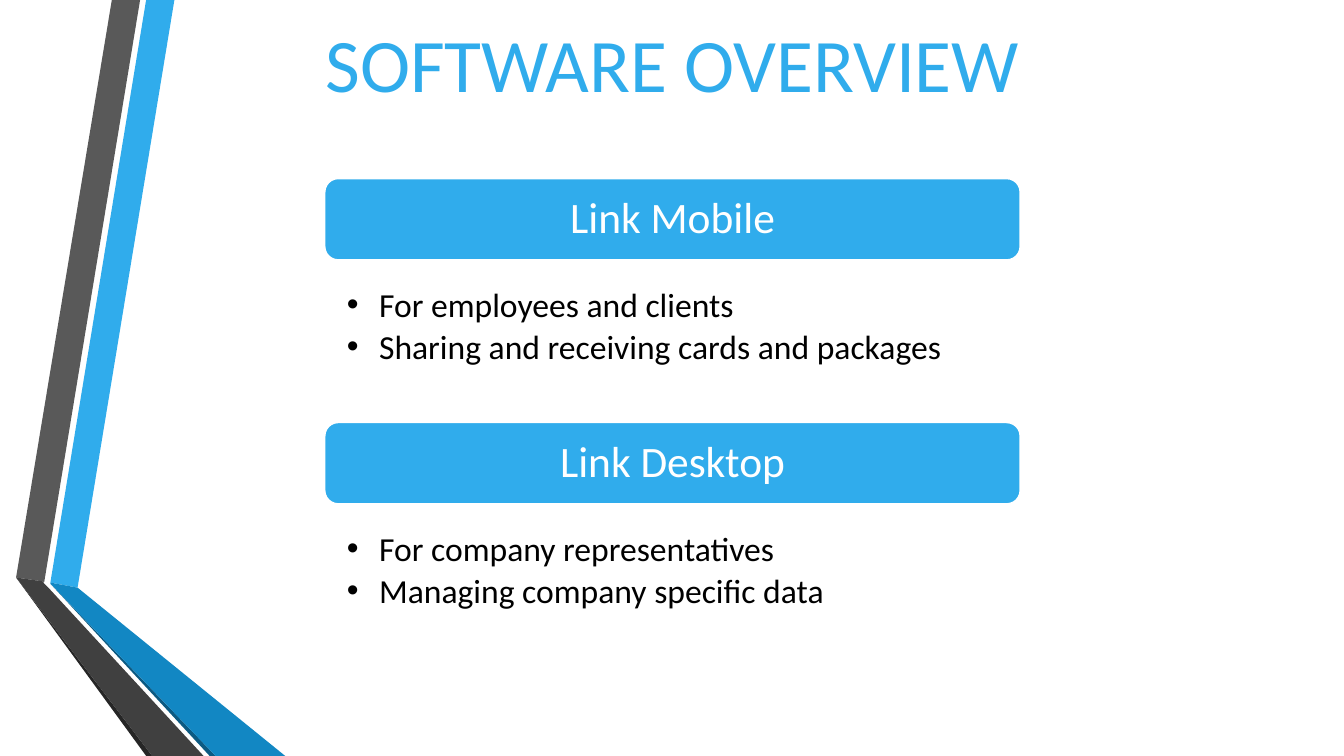
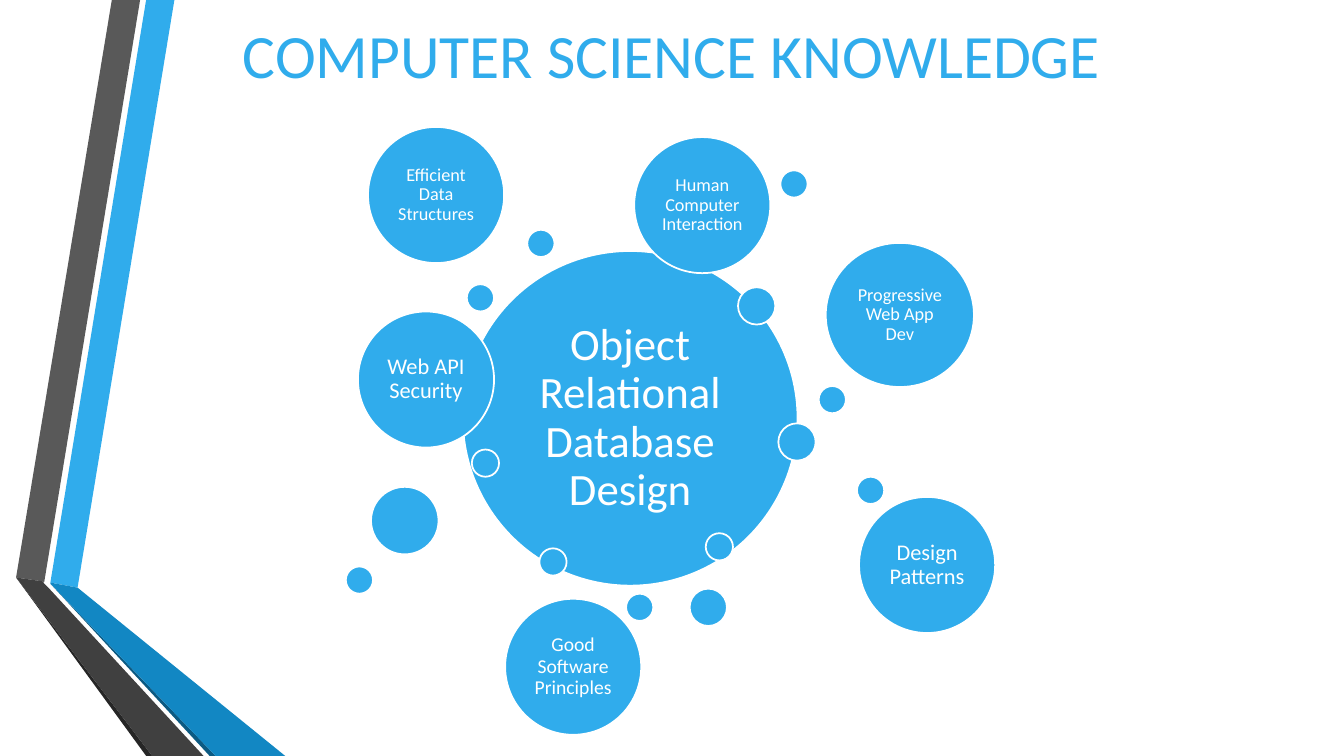
from lxml import etree
from pptx import Presentation
from pptx.dml.color import RGBColor
from pptx.enum.shapes import MSO_SHAPE as SHAPE
from pptx.enum.text import MSO_ANCHOR as ANCHOR, PP_ALIGN as ALIGN
from pptx.oxml.ns import qn
from pptx.util import Inches, Pt

FONT = "Calibri"
BLUE, WHITE, BLACK = "30ACEC", "FFFFFF", "000000"

# Ribbon facets: colour and corner points in inches
RIBBONS = [
    (BLUE, [(0.5, 5.78), (0.77, 5.83), (1.73, 0), (1.45, 0)]),
    ("595959", [(1.39, 0), (1.11, 0), (0.16, 5.73), (0.44, 5.77)]),
    ("262626", [(0.16, 5.73), (1.45, 7.5), (1.51, 7.5)]),
    ("0C5A82", [(0.5, 5.79), (2.08, 7.5), (2.14, 7.5)]),
    ("1287C3", [(0.5, 5.78), (0.5, 5.79), (2.14, 7.5), (2.83, 7.5), (0.77, 5.83)]),
    ("404040", [(2.02, 7.5), (0.48, 5.83), (0.43, 5.78), (0.44, 5.77),
                (0.16, 5.73), (1.51, 7.5)]),
]

SECTIONS = [
    ("Link Mobile", ["For employees and clients",
                     "Sharing and receiving cards and packages"]),
    ("Link Desktop", ["For company representatives",
                      "Managing company specific data"]),
]
SECTION_X, SECTION_Y, SECTION_W, SECTION_STEP = 3.22, 1.77, 6.9, 2.42
HEADER_H, LIST_H = 0.81, 1.16

DOT, BEAD, BALL, TOPIC = 0.27, 0.37, 0.67, 1.35

# Back to front: left, top, width, height, then text, size and inset if labelled
BUBBLES = [
    (4.59, 2.49, 3.32, 3.32, "Object Relational Database Design", 32, 0.13),
    (5.35, 5.44, DOT, DOT),
    (8.12, 3.83, DOT, DOT),
    (6.84, 5.84, BEAD, BEAD),
    (5.23, 2.28, DOT, DOT),
    (4.68, 4.46, DOT, DOT),
    (3.55, 3.09, TOPIC, TOPIC, "Web API Security", 16, 0.07),
    (7.32, 2.85, BEAD, BEAD),
    (3.68, 4.83, BALL, BALL),
    (8.19, 2.41, 1.47, 1.43, "Progressive Web App Dev", 13, 0.05),
    (7.72, 4.2, BEAD, BEAD),
    (3.43, 5.62, DOT, DOT),
    (7, 5.29, DOT, DOT),
    (8.52, 4.93, TOPIC, TOPIC, "Design Patterns", 16, 0.07),
    (8.5, 4.73, DOT, DOT),
    (5.01, 5.94, TOPIC, TOPIC, "Good Software Principles", 14, 0.06),
    (6.21, 5.89, DOT, DOT),
    (6.29, 1.36, TOPIC, TOPIC, "Human Computer Interaction", 13, 0.05),
    (4.63, 2.82, DOT, DOT),
    (7.74, 1.69, DOT, DOT),
    (3.65, 1.26, TOPIC, TOPIC, "Efficient Data Structures", 13, 0.07),
]


def rgb(color):
    return RGBColor.from_string(color)


def set_attrs(obj, **values):
    for name, value in values.items():
        setattr(obj, name, value)


def set_frame(tf, left, top, right, bottom, anchor=ANCHOR.TOP):
    set_attrs(tf, word_wrap=True, vertical_anchor=anchor,
              margin_left=Inches(left), margin_top=Inches(top),
              margin_right=Inches(right), margin_bottom=Inches(bottom))


def write(p, text, size, color, **para_format):
    set_attrs(p, **para_format)
    r = p.add_run()
    r.text = text
    set_attrs(r.font, name=FONT, size=Pt(size))
    r.font.color.rgb = rgb(color)


def add_bullet(p, indent):
    pPr = p._p.get_or_add_pPr()
    pPr.set("marL", str(Inches(indent)))
    pPr.set("indent", str(-Inches(indent)))
    etree.SubElement(pPr, qn("a:buFont")).set("typeface", "Arial")
    etree.SubElement(pPr, qn("a:buChar")).set("char", "•")


def paint(sp, color):
    sp.shadow.inherit = False
    sp.fill.solid()
    sp.fill.fore_color.rgb = rgb(color)


def add_ribbons(s):
    for color, points in RIBBONS:
        start, *rest = [(Inches(x), Inches(y)) for x, y in points]
        builder = s.shapes.build_freeform(*start)
        builder.add_line_segments(rest, close=True)
        sp = builder.convert_to_shape()
        paint(sp, color)
        sp.line.fill.background()


def add_title(s, text, size, left, width, height):
    box = s.shapes.add_textbox(*map(Inches, (left, 0.12, width, height)))
    set_frame(box.text_frame, 0.1, 0.05, 0.1, 0.05)
    write(box.text_frame.paragraphs[0], text, size, BLUE, alignment=ALIGN.CENTER)


def add_block(s, kind, left, top, width, height, text="", size=0, inset=0):
    """Blue shape with a white outline and an optional centred label."""
    sp = s.shapes.add_shape(kind, *map(Inches, (left, top, width, height)))
    paint(sp, BLUE)
    sp.line.color.rgb = rgb(WHITE)
    sp.line.width = Pt(1.25)
    if text:
        set_frame(sp.text_frame, *[inset] * 4, anchor=ANCHOR.MIDDLE)
        write(sp.text_frame.paragraphs[0], text, size, WHITE,
              alignment=ALIGN.CENTER, line_spacing=0.9)


def add_list(s, left, top, width, height, items):
    box = s.shapes.add_textbox(*map(Inches, (left, top, width, height)))
    tf = box.text_frame
    set_frame(tf, 0.22, 0.04, 0.24, 0.04)
    for i, item in enumerate(items):
        p = tf.add_paragraph() if i else tf.paragraphs[0]
        write(p, item, 24, BLACK, line_spacing=0.9 if i else 1.5,
              space_after=Pt(4))
        add_bullet(p, 0.32)


def add_slide(prs, *title):
    s = prs.slides.add_slide(prs.slide_layouts[6])
    add_ribbons(s)
    add_title(s, *title)
    return s


def main():
    prs = Presentation()
    set_attrs(prs, slide_width=Inches(13.33), slide_height=Inches(7.5))

    s = add_slide(prs, "SOFTWARE OVERVIEW", 54, 2.74, 7.86, 1.01)
    for i, (heading, items) in enumerate(SECTIONS):
        top = SECTION_Y + i * SECTION_STEP
        add_block(s, SHAPE.ROUNDED_RECTANGLE, SECTION_X, top, SECTION_W, HEADER_H,
                  heading, 31, 0.13)
        add_list(s, SECTION_X, top + HEADER_H, SECTION_W, LIST_H, items)

    s = add_slide(prs, "COMPUTER SCIENCE KNOWLEDGE", 44, 1.91, 9.51, 0.84)
    for bubble in BUBBLES:
        add_block(s, SHAPE.OVAL, *bubble)

    prs.save("out.pptx")


if __name__ == "__main__":
    main()
